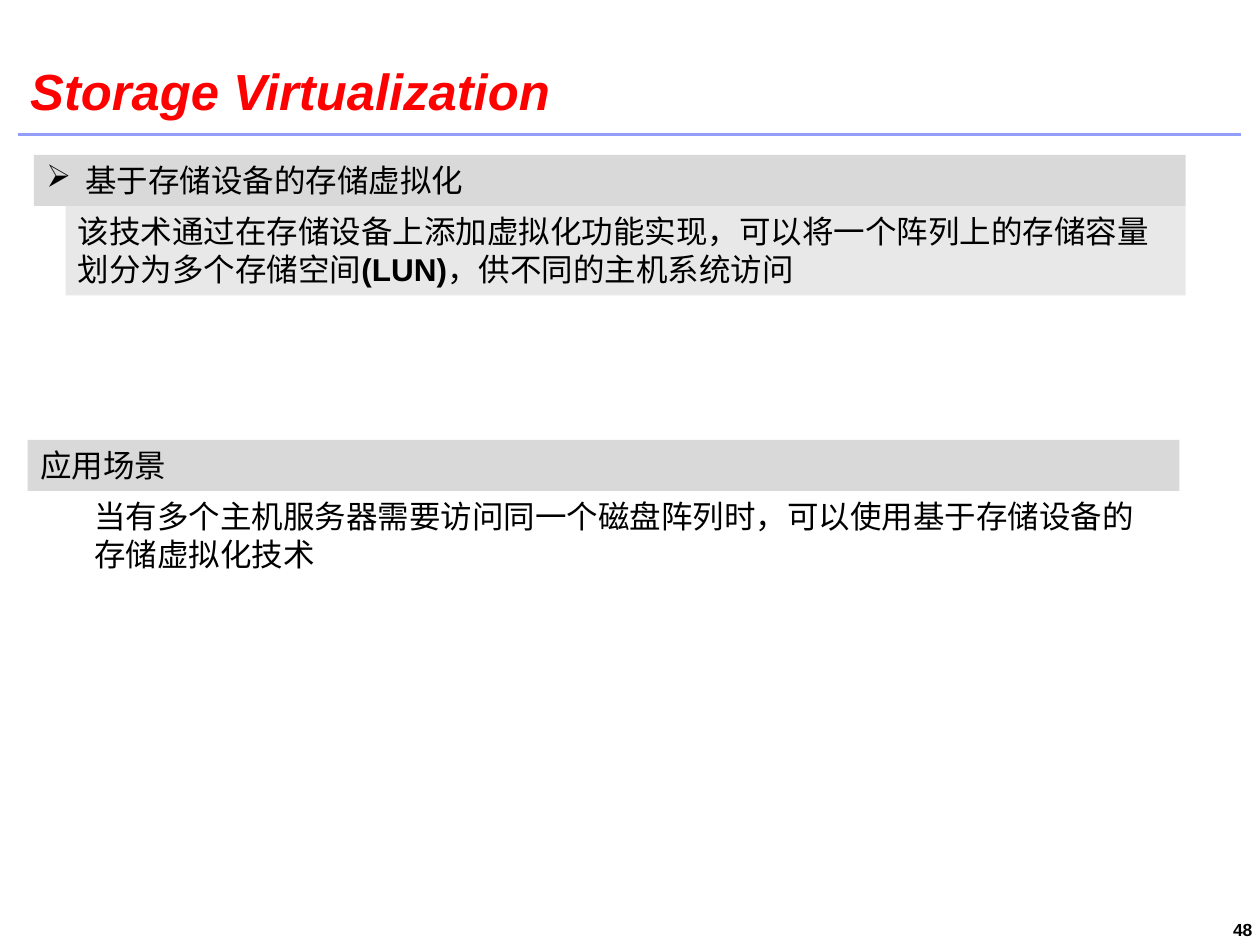
from lxml.etree import SubElement
from pptx import Presentation
from pptx.dml.color import RGBColor
from pptx.enum.shapes import MSO_CONNECTOR, MSO_SHAPE
from pptx.enum.text import MSO_ANCHOR, PP_ALIGN
from pptx.oxml.ns import qn
from pptx.util import Inches, Pt

COLORS = {"title": "FF0000", "rule": "939DFC", "text": "000000",
          "heading": "D9D9D9", "body": "E8E8E8"}
FONT = "Arial"
CELL = Inches(0.1)  # the slide is a grid of 100 columns by 75 rows
COLUMNS, ROWS = 100, 75
DEFAULT_INSETS = (1, 0.5, 1, 0.5)


def grid(*cells):
    return [round(cell * CELL) for cell in cells]


def color(name):
    return RGBColor.from_string(COLORS[name])


def add_panel(slide, box, runs, size=18, fill=None, ink="text", bold=False,
              italic=False, align=PP_ALIGN.LEFT, anchor=MSO_ANCHOR.TOP,
              insets=DEFAULT_INSETS):
    """Place one paragraph in a box, on a grey band if a fill is named.

    runs holds (wording, bold) pairs, or a single string.
    """
    if fill:
        panel = slide.shapes.add_shape(MSO_SHAPE.RECTANGLE, *grid(*box))
        panel.shadow.inherit = False
        panel.fill.solid()
        panel.fill.fore_color.rgb = color(fill)
        panel.line.fill.background()
    else:
        panel = slide.shapes.add_textbox(*grid(*box))
    frame = panel.text_frame
    frame.word_wrap = True
    frame.vertical_anchor = anchor
    (frame.margin_left, frame.margin_top,
     frame.margin_right, frame.margin_bottom) = grid(*insets)

    paragraph = frame.paragraphs[0]
    paragraph.alignment = align
    font = paragraph.font
    font.name, font.size = FONT, Pt(size)
    font.bold, font.italic = bold, italic
    font.color.rgb = color(ink)
    for wording, strong in [(runs, bold)] if isinstance(runs, str) else runs:
        run = paragraph.add_run()
        run.text = wording
        if strong != bold:
            run.font.bold = strong
    return paragraph


def add_arrow_bullet(paragraph, indent):
    properties = paragraph._p.get_or_add_pPr()
    properties.set("marL", str(indent))
    properties.set("indent", str(-indent))
    bullet = properties.makeelement(qn("a:buChar"), {"char": "➢"})
    properties.insert(0, bullet)


def add_header(slide, box, title):
    left, top, width, height = box
    # Title
    add_panel(slide, (left + 0.4, top, width - 0.4, height - 1.1), title,
              size=29, ink="title", bold=True, italic=True,
              anchor=MSO_ANCHOR.BOTTOM, insets=(0.6, 0.2, 0, 0))
    # Rule below the title
    rule = slide.shapes.add_connector(
        MSO_CONNECTOR.STRAIGHT,
        *grid(left, top + height, left + width, top + height))
    rule.line.color.rgb = color("rule")
    rule.line.width = Pt(1.75)
    SubElement(rule._element.spPr, qn("a:effectLst"))


def add_section(slide, box, heading, body, body_indent, body_width,
                body_fill=None, bulleted=False):
    left, top, width, height = box
    heading_height = 4.05
    # Body, starting where the heading band ends
    add_panel(slide, (left + body_indent, top + heading_height,
                      body_width, height - heading_height),
              body, fill=body_fill)
    # Heading band
    heading_line = add_panel(slide, (left, top, width, heading_height),
                             heading, fill="heading")
    if bulleted:
        add_arrow_bullet(heading_line, Inches(0.31))


def add_page_number(slide, box, number):
    add_panel(slide, box, number, size=10, bold=True, align=PP_ALIGN.RIGHT,
              insets=(0, 0, 0.6, 0.6))


def main():
    presentation = Presentation()
    presentation.slide_width = COLUMNS * CELL
    presentation.slide_height = ROWS * CELL
    slide = presentation.slides.add_slide(presentation.slide_layouts[6])

    add_header(slide, (1.4, 0, 97.1, 10.7), "Storage Virtualization")
    add_section(
        slide, (2.7, 12.3, 91.4, 11.15), "基于存储设备的存储虚拟化",
        [("该技术通过在存储设备上添加虚拟化功能实现，可以将一个阵列上的存储容量 "
          "划分为多个存储空间", False),
         ("(LUN)", True),
         ("，供不同的主机系统访问", False)],
        body_indent=2.5, body_width=88.9, body_fill="body", bulleted=True)
    add_section(
        slide, (2.2, 34.9, 91.4, 14.1), "应用场景",
        "当有多个主机服务器需要访问同一个磁盘阵列时，可以使用基于存储设备的"
        "存储虚拟化技术",
        body_indent=4.3, body_width=85.3)
    add_page_number(slide, (91, 72.9, 9, 1.8), "48")

    presentation.save("out.pptx")


if __name__ == "__main__":
    main()
